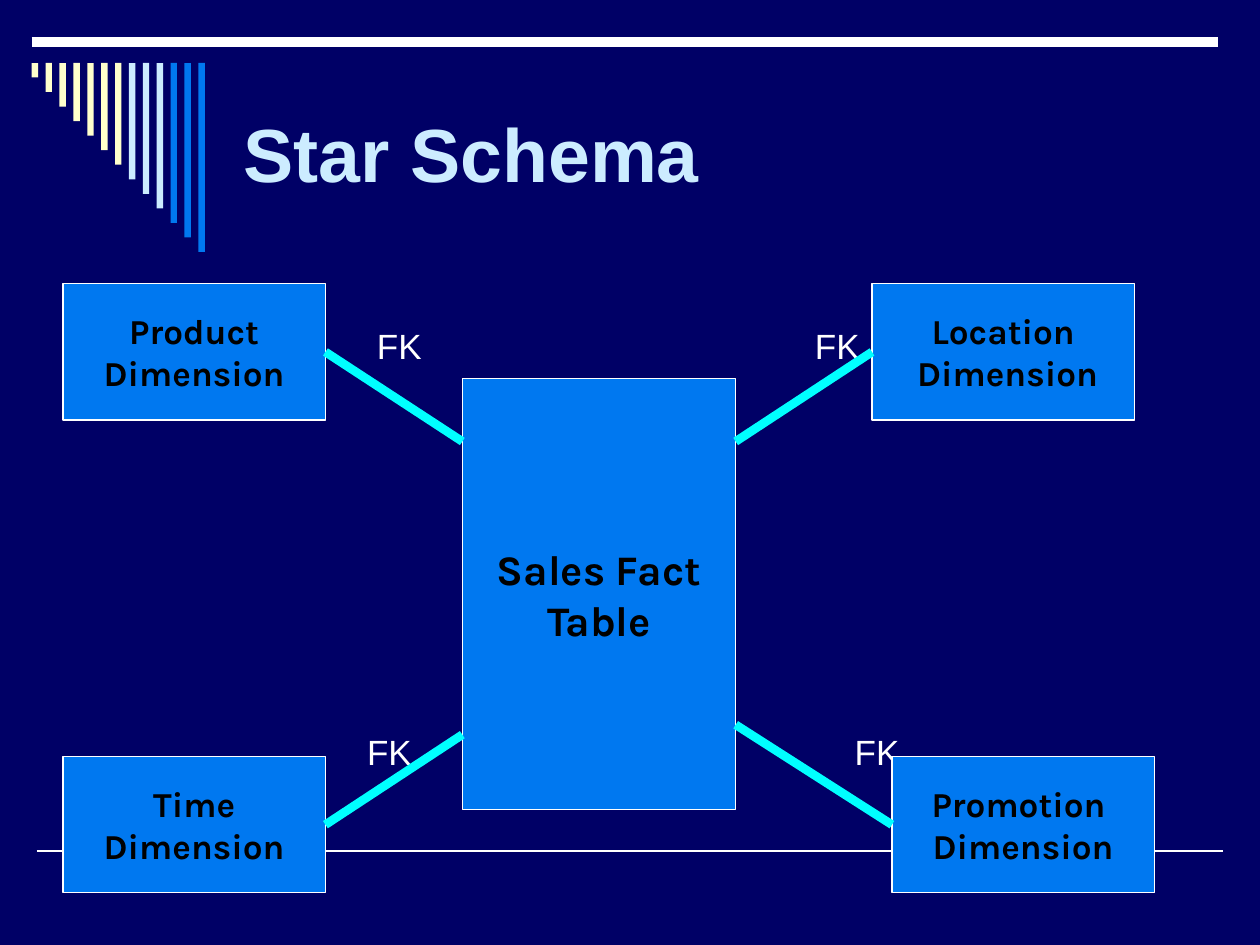
from pptx import Presentation
from pptx.dml.color import RGBColor
from pptx.enum.shapes import MSO_CONNECTOR, MSO_SHAPE
from pptx.enum.text import MSO_ANCHOR, PP_ALIGN
from pptx.oxml.ns import qn
from pptx.util import Cm, Pt
from lxml.etree import SubElement

NAVY = RGBColor(0x00, 0x00, 0x66)
WHITE = RGBColor(0xFF, 0xFF, 0xFF)
BLACK = RGBColor(0x00, 0x00, 0x00)
CREAM = RGBColor(0xFF, 0xFF, 0xCC)
PALE = RGBColor(0xCC, 0xEC, 0xFF)
BLUE = RGBColor(0x00, 0x78, 0xF0)
CYAN = RGBColor(0x00, 0xFF, 0xFF)

BAR_COLORS = [CREAM] * 7 + [PALE] * 3 + [BLUE] * 3
DIMENSIONS = [
    # text, left, top, side joined, fact edge, fact joint, label left, label top
]


def write(tf, text, size, color, font="Arial", bold=False, align=PP_ALIGN.LEFT, wrap=True):
    tf.word_wrap = wrap
    tf.vertical_anchor = MSO_ANCHOR.MIDDLE
    for i, line in enumerate(text.split("\n")):
        p = tf.paragraphs[0] if i == 0 else tf.add_paragraph()
        p.alignment = align
        r = p.add_run()
        r.text = line
        r.font.name = font
        r.font.size = Pt(size)
        r.font.bold = bold
        r.font.color.rgb = color


def add_rect(s, left, top, width, height, fill, outline=None):
    sp = s.shapes.add_shape(MSO_SHAPE.RECTANGLE, Cm(left), Cm(top), Cm(width), Cm(height))
    sp.shadow.inherit = False
    sp.fill.solid()
    sp.fill.fore_color.rgb = fill
    if outline is None:
        sp.line.fill.background()
    else:
        sp.line.color.rgb = outline
        sp.line.width = Pt(0.75)
    return sp


def add_line(s, x1, y1, x2, y2, color, width):
    line = s.shapes.add_connector(MSO_CONNECTOR.STRAIGHT, Cm(x1), Cm(y1), Cm(x2), Cm(y2))
    line.line.color.rgb = color
    line.line.width = Pt(width)
    SubElement(line._element.spPr, qn("a:effectLst"))
    return line


def add_table_box(s, text, left, top, width, height, size):
    sp = add_rect(s, left, top, width, height, BLUE, WHITE)
    write(sp.text_frame, text, size, BLACK, font="Karla", bold=True,
          align=PP_ALIGN.CENTER, wrap=False)
    return sp


def add_label(s, text, left, top):
    tf = s.shapes.add_textbox(Cm(left), Cm(top), Cm(1.4), Cm(1)).text_frame
    tf.margin_left = tf.margin_right = tf.margin_top = tf.margin_bottom = 0
    write(tf, text, 20, WHITE)


def add_title(s, text, left, top, width, height):
    title = s.shapes.title
    title.left, title.top, title.width, title.height = Cm(left), Cm(top), Cm(width), Cm(height)
    write(title.text_frame, text, 43, PALE, bold=True)


def add_bars(s, left, top, height):
    for i, color in enumerate(BAR_COLORS):
        add_rect(s, left + i * 0.28, top, 0.13, height * (i + 1) / len(BAR_COLORS), color)


def add_rules(s, left, top, width, height):
    add_line(s, left, top, left + width, top, WHITE, 6)
    add_line(s, left + 0.1, top + height, left + 0.1 + width, top + height, WHITE, 1)


def add_star(s, left, top):
    fact_x, fact_y, fact_w, fact_h = 8.05, 1.91, 5.51, 8.69
    dim_w, dim_h, lower = 5.29, 2.75, 9.53
    right_side, left_side = 3, 1
    fact_right = fact_x + fact_w
    dimensions = [
        ("Product\nDimension", 0, 0, right_side, fact_x, 3.18, 6.33, 0.74),
        ("Location\n Dimension", 16.31, 0, left_side, fact_right, 3.18, 15.16, 0.74),
        ("Time\nDimension", 0, lower, right_side, fact_x, 9.09, 6.13, 8.92),
        ("Promotion \nDimension", 16.71, lower, left_side, fact_right, 8.89, 15.96, 8.92),
    ]
    for *_, label_x, label_y in dimensions:
        add_label(s, "FK", left + label_x, top + label_y)
    add_table_box(s, "Sales Fact\nTable", left + fact_x, top + fact_y, fact_w, fact_h, 24)
    for text, x, y, side, joint_x, joint_y, *_ in dimensions:
        sp = add_table_box(s, text, left + x, top + y, dim_w, dim_h, 20)
        line = add_line(s, left + x, top + y, left + joint_x, top + joint_y, CYAN, 5)
        line.begin_connect(sp, side)


def main():
    prs = Presentation()
    prs.slide_width, prs.slide_height = Cm(25.4), Cm(19.05)
    s = prs.slides.add_slide(prs.slide_layouts[5])
    s.background.fill.solid()
    s.background.fill.fore_color.rgb = NAVY
    add_rules(s, 0.64, 0.85, 23.92, 16.3)
    add_bars(s, 0.64, 1.27, 3.81)
    add_title(s, "Star Schema", 4.65, 1.27, 19.48, 3.6)
    add_star(s, 1.27, 5.72)
    prs.save("out.pptx")


if __name__ == "__main__":
    main()
